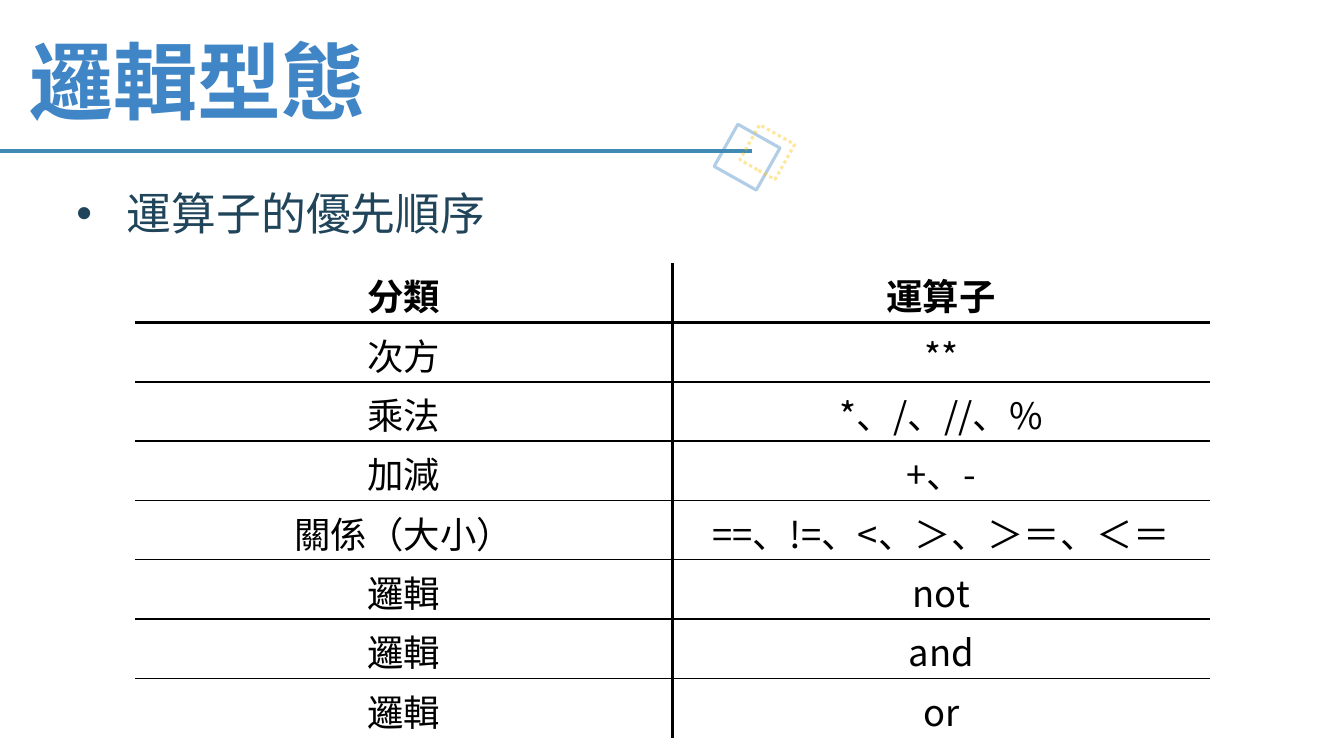
from lxml.etree import SubElement
from pptx import Presentation
from pptx.dml.color import RGBColor
from pptx.enum.dml import MSO_LINE
from pptx.enum.shapes import MSO_CONNECTOR, MSO_SHAPE
from pptx.enum.text import MSO_ANCHOR, PP_ALIGN
from pptx.oxml.ns import qn
from pptx.util import Inches, Pt

FONT = "Noto Sans CJK SC"
NO_GRID_STYLE = "{2D5ABB26-0587-4C30-8999-92F81FD0307C}"
BLUE = RGBColor(0x40, 0x85, 0xC5)
TEAL = RGBColor(0x41, 0x8A, 0xB3)
YELLOW = RGBColor(0xFE, 0xC3, 0x06)
NAVY = RGBColor(0x20, 0x45, 0x5A)
BLACK = RGBColor(0, 0, 0)

ROWS = [
    ("分類", "運算子"),
    ("次方", "**"),
    ("乘法", "*、/、//、%"),
    ("加減", "+、-"),
    ("關係（大小）", "==、!=、<、＞、＞＝、＜＝"),
    ("邏輯", "not"),
    ("邏輯", "and"),
    ("邏輯", "or"),
]


def style_text(paragraph, size, color, bold=False):
    font = paragraph.runs[0].font
    font.name, font.size, font.bold = FONT, Pt(size), bold
    font.color.rgb = color
    SubElement(paragraph.runs[0]._r.get_or_add_rPr(), qn("a:ea"), typeface=FONT)


def add_border(cell, side, points):
    """Draw one side of a cell; side is lnL, lnR, lnT or lnB."""
    border = SubElement(cell._tc.get_or_add_tcPr(), qn(f"a:{side}"), w=str(Pt(points)))
    fill = SubElement(border, qn("a:solidFill"))
    SubElement(fill, qn("a:srgbClr"), val=str(BLACK))


prs = Presentation()
prs.slide_width, prs.slide_height = Inches(13.33), Inches(7.5)
slide = prs.slides.add_slide(prs.slide_layouts[6])

# Title rule and its two tilted squares
title_rule = slide.shapes.add_connector(
    MSO_CONNECTOR.STRAIGHT, Inches(0), Inches(1.5), Inches(7.46), Inches(1.5))
title_rule.line.color.rgb = TEAL
title_rule.line.width = Pt(3)
SubElement(title_rule._element.spPr, qn("a:effectLst"))

ornament = slide.shapes.add_group_shape()
for left, top, side, color, dash in [
    (7.17, 1.32, 0.48, BLUE, MSO_LINE.SOLID),
    (7.41, 1.31, 0.4, YELLOW, MSO_LINE.ROUND_DOT),
]:
    square = ornament.shapes.add_shape(
        MSO_SHAPE.RECTANGLE, Inches(left), Inches(top), Inches(side), Inches(side))
    square.rotation = 29.4
    square.shadow.inherit = False
    square.fill.background()
    square.line.color.rgb = color
    square.line.width = Pt(2.25)
    square.line.dash_style = dash
    line_color = square.line._ln.find(".//" + qn("a:srgbClr"))
    SubElement(line_color, qn("a:alpha"), val="40000")

# Title and bullet
for text, left, top, width, height, size, color, bold in [
    ("邏輯型態", 0.19, 0.36, 6.66, 1.11, 60, BLUE, True),
    ("運算子的優先順序", 0.66, 1.85, 9.33, 0.64, 32, NAVY, False),
]:
    heading = slide.shapes.add_textbox(
        Inches(left), Inches(top), Inches(width), Inches(height))
    heading.text_frame.word_wrap = True
    heading.text_frame.text = text
    paragraph = heading.text_frame.paragraphs[0]
    paragraph.line_spacing = 0.9
    style_text(paragraph, size, color, bold)

bullet_props = paragraph._p.get_or_add_pPr()
bullet_props.set("marL", str(Inches(0.5)))
bullet_props.set("indent", str(Inches(-0.5)))
SubElement(bullet_props, qn("a:buFont"), typeface="Arial")
SubElement(bullet_props, qn("a:buChar"), char="•")

# Operator precedence table
table_frame = slide.shapes.add_table(
    len(ROWS), 2, Inches(1.34), Inches(2.61), Inches(10.66), Inches(4.71))
precedence = table_frame.table
precedence.first_row = precedence.horz_banding = False
precedence._tbl.tblPr.find(qn("a:tableStyleId")).text = NO_GRID_STYLE

rule_widths = [3, 2] + [1] * (len(ROWS) - 2)
for row, labels in enumerate(ROWS):
    for column, label in enumerate(labels):
        cell = precedence.cell(row, column)
        cell.text = label
        cell.vertical_anchor = MSO_ANCHOR.MIDDLE
        cell.margin_left = cell.margin_right = Inches(0.11)
        cell.margin_top, cell.margin_bottom = Inches(0.05), Inches(0.01)
        paragraph = cell.text_frame.paragraphs[0]
        paragraph.alignment = PP_ALIGN.CENTER
        style_text(paragraph, 26, BLACK, bold=row == 0)
        add_border(cell, "lnR" if column == 0 else "lnL", 3)
        if row > 0:
            add_border(cell, "lnT", rule_widths[row - 1])
        if row < len(ROWS) - 1:
            add_border(cell, "lnB", rule_widths[row])
        cell.fill.background()

prs.save("out.pptx")
